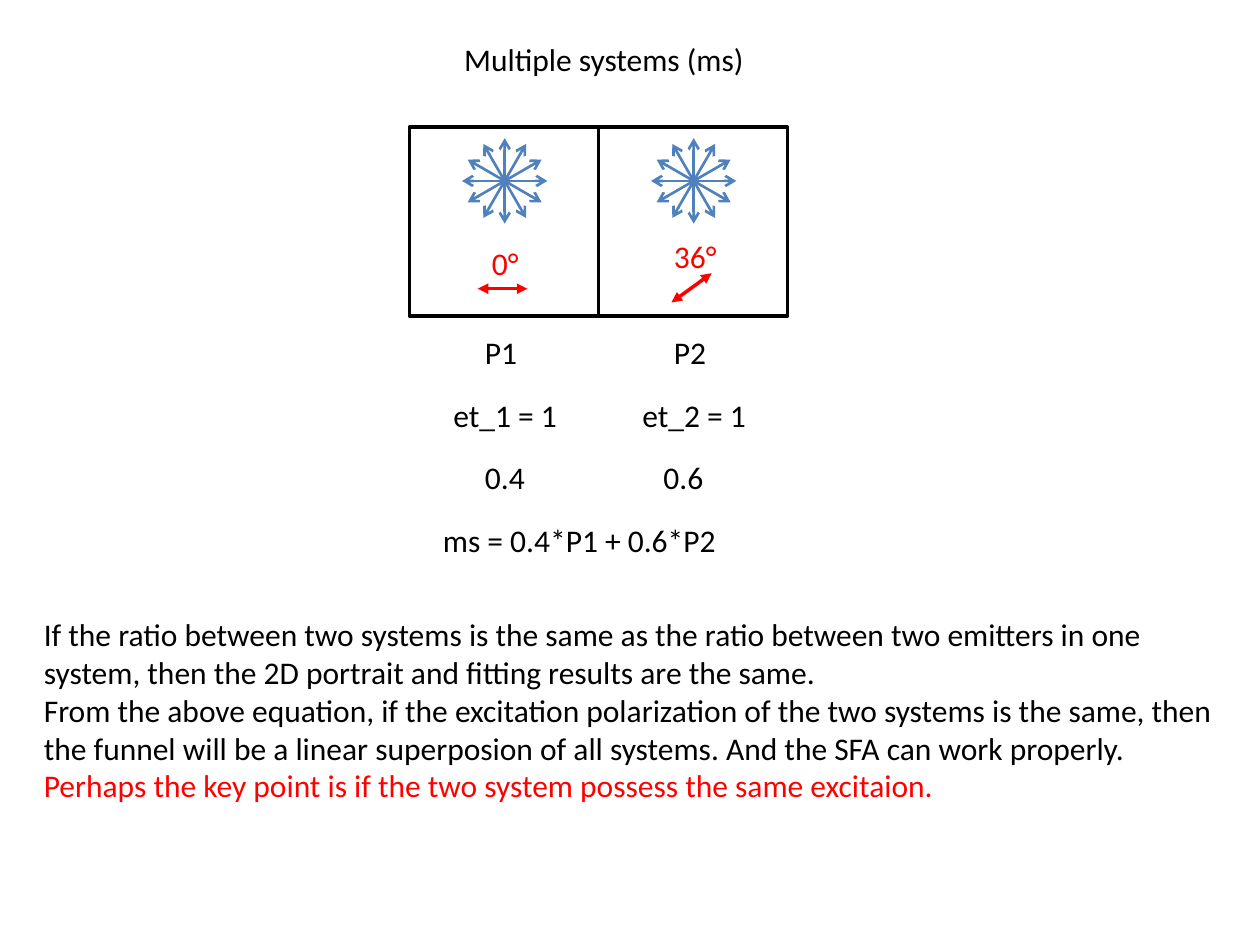
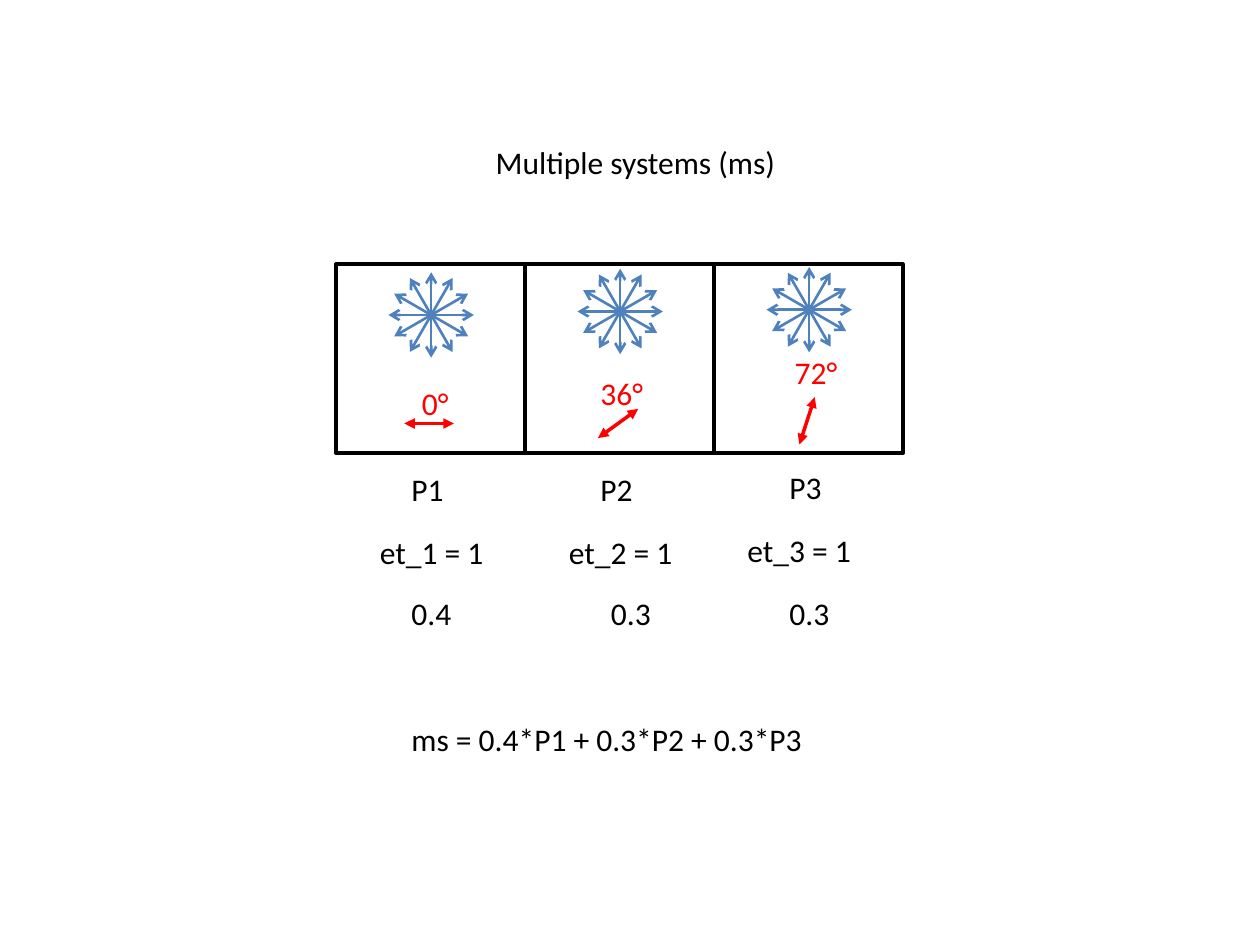
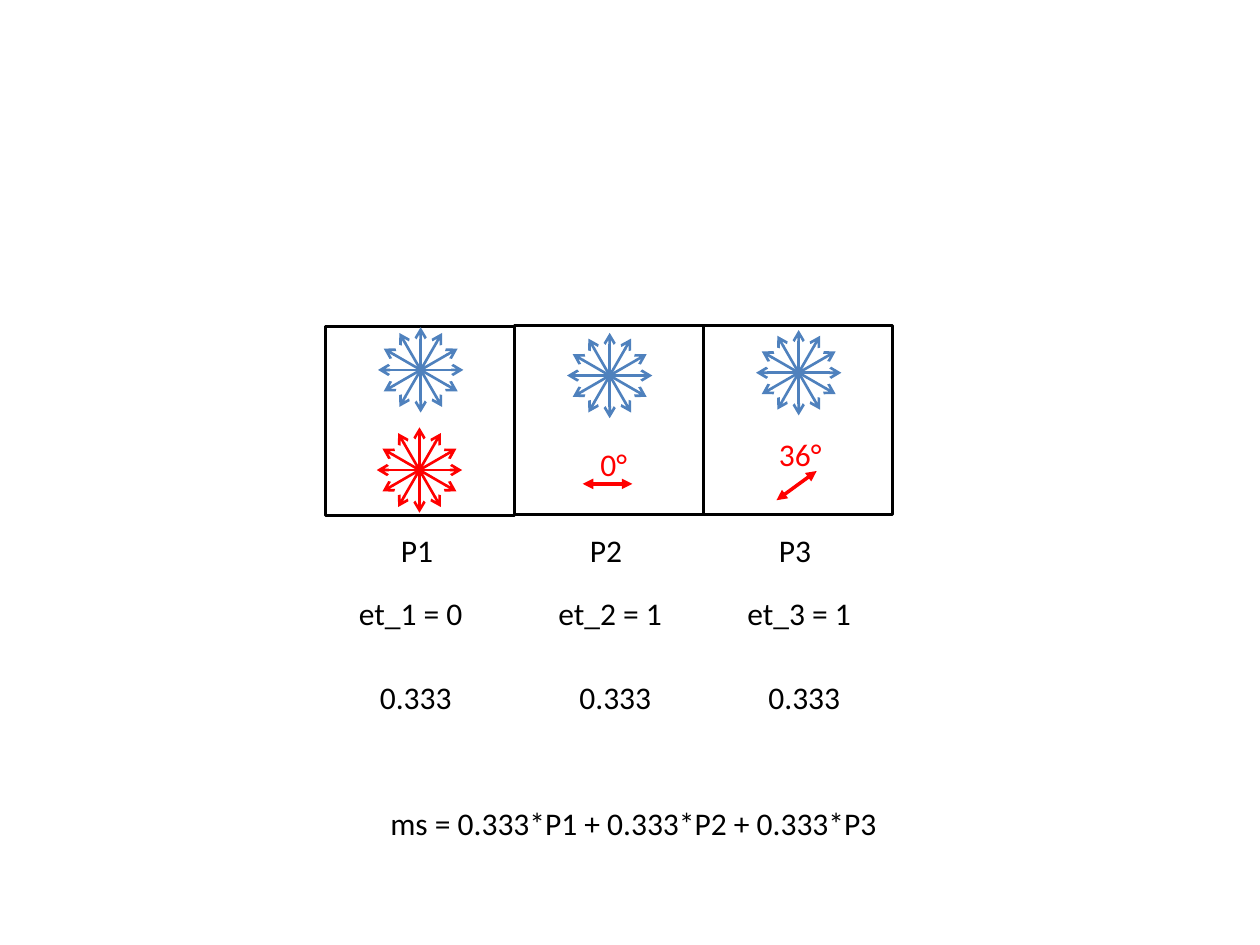
from dataclasses import dataclass
from math import cos, radians, sin

from lxml import etree
from pptx import Presentation
from pptx.dml.color import RGBColor
from pptx.enum import shapes, text
from pptx.oxml.ns import qn
from pptx.util import Pt

BLACK = RGBColor(0x00, 0x00, 0x00)
WHITE = RGBColor(0xFF, 0xFF, 0xFF)
RED = RGBColor(0xFF, 0x00, 0x00)
BLUE = RGBColor(0x4F, 0x81, 0xBD)
FONT, SIZE = "Calibri", 18
LINE_H = 29       # height of a one-line text box
CELL = 108        # side of a system's square
BURST_R = 24.4    # radius of a star of arrows
EMITTER_R = 14.2  # half length of an emitter arrow
TITLE_LAYOUT, BLANK_LAYOUT = 5, 6


# Content: x values count from the left of the system's square, y from the slide top
@dataclass
class System:
    name: str
    transfer: str
    transfer_x: float
    weight: str
    weight_x: float
    burst_y: float
    emitter_y: float
    angle: int = None      # None: the emitter has no preferred direction
    label_x: float = 0
    label_y: float = 0
    lift: float = 0        # raises name and transfer
    cell_drop: float = 0


TITLE = "Multiple systems (ms)"
SLIDES = [
    dict(title=(TITLE, 258, 19), left=234, top=72.75, rows=(187, 223, 258),
         systems=[
             System("P1", "et_1 = 1", 18, "0.4", 36, 103.4, 165, 0, 40, 136),
             System("P2", "et_2 = 1", 18, "0.6", 30, 103.4, 164.5, 36, 36, 132)],
         equation=("ms = 0.4*P1 + 0.6*P2", 246, 294, 192),
         notes=[
             ("If the ratio between two systems is the same as the ratio between two "
              "emitters in one system, then the 2D portrait and fitting results are "
              "the same.", BLACK),
             ("From the above equation, if the excitation polarization of the two "
              "systems is the same, then the funnel will be a linear superposion of "
              "all systems. And the SFA can work properly.", BLACK),
             ("Perhaps the key point is if the two system possess the same excitaion.",
              RED)]),
    dict(title=(TITLE, 276, 78), left=192, top=151, rows=(265, 301, 336),
         systems=[
             System("P1", "et_1 = 1", 18, "0.4", 36, 180, 242, 0, 42, 216),
             System("P2", "et_2 = 1", 18, "0.3", 42, 178, 242, 36, 36, 210),
             System("P3", "et_3 = 1", 12, "0.3", 36, 177, 240.5, 72, 39, 198, lift=1)],
         equation=("ms = 0.4*P1 + 0.3*P2 + 0.3*P3", 228, 408, 264)),
    dict(left=186, top=186, rows=(300, 336, 384),
         systems=[
             System("P1", "et_1 = 0", 12, "0.333", 24, 211.4, 268.6, cell_drop=0.6),
             System("P2", "et_2 = 1", 18, "0.333", 30, 214.6, 276.5, 0, 42, 251),
             System("P3", "et_3 = 1", 18, "0.333", 30, 213, 277.5, 36, 36, 245)],
         equation=("ms = 0.333*P1 + 0.333*P2 + 0.333*P3", 216, 456, 366)),
]


# Drawing helpers
def write(sp, lines, wrap):
    tf = sp.text_frame
    tf.word_wrap = wrap
    tf.auto_size = text.MSO_AUTO_SIZE.NONE
    tf.vertical_anchor = text.MSO_ANCHOR.TOP
    tf.text = "\n".join(line for line, _ in lines)
    for p, (_, color) in zip(tf.paragraphs, lines):
        p.alignment = text.PP_ALIGN.LEFT
        for r in p.runs:
            r.font.name, r.font.size = FONT, Pt(SIZE)
            r.font.color.rgb = color


def add_text(s, lines, x, y, w, h=LINE_H, wrap=False):
    write(s.shapes.add_textbox(Pt(x), Pt(y), Pt(w), Pt(h)), lines, wrap)


def add_title(s, title, x, y):
    sp = s.shapes.title
    sp.left, sp.top, sp.width, sp.height = Pt(x), Pt(y), Pt(176), Pt(LINE_H)
    write(sp, [(title, BLACK)], wrap=False)


def add_cell(s, x, y):
    sp = s.shapes.add_shape(shapes.MSO_SHAPE.RECTANGLE, Pt(x), Pt(y), Pt(CELL), Pt(CELL))
    sp.shadow.inherit = False
    sp.fill.solid()
    sp.fill.fore_color.rgb = WHITE
    sp.line.color.rgb = BLACK
    sp.line.width = Pt(2)


def add_arrow(parent, cx, cy, radius, angle, color, width, head):
    """Double-headed arrow centred on (cx, cy)."""
    dx, dy = radius * cos(radians(angle)), radius * sin(radians(angle))
    sp = parent.shapes.add_connector(shapes.MSO_CONNECTOR.STRAIGHT, Pt(cx - dx),
                                     Pt(cy + dy), Pt(cx + dx), Pt(cy - dy))
    sp.line.color.rgb = color
    sp.line.width = Pt(width)
    ln = sp.line._get_or_add_ln()
    for end in ("a:headEnd", "a:tailEnd"):
        etree.SubElement(ln, qn(end), type=head)
    etree.SubElement(sp._element.spPr, qn("a:effectLst"))


def add_burst(s, cx, cy, color):
    group = s.shapes.add_group_shape()
    for angle in range(0, 180, 30):
        add_arrow(group, cx, cy, BURST_R, angle, color, 1.5, "arrow")


def add_system(s, x, rows, system):
    add_burst(s, x + 54.4, system.burst_y, BLUE)
    if system.angle is None:
        add_burst(s, x + 53.7, system.emitter_y, RED)
    else:
        add_arrow(s, x + 53.2, system.emitter_y, EMITTER_R, system.angle, RED, 2, "triangle")
        label = f"{system.angle}°"
        add_text(s, [(label, RED)], x + system.label_x, system.label_y,
                 42 if len(label) == 2 else 51)
    name_y, transfer_y, weight_y = rows
    weight_w = 37 if len(system.weight) == 3 else 56
    for value, dx, y, w in [
            (system.name, 36, name_y - system.lift, 33),
            (system.transfer, system.transfer_x, transfer_y - system.lift, 78),
            (system.weight, system.weight_x, weight_y, weight_w)]:
        add_text(s, [(value, BLACK)], x + dx, y, w)


def build_slide(prs, data):
    layout = TITLE_LAYOUT if "title" in data else BLANK_LAYOUT
    s = prs.slides.add_slide(prs.slide_layouts[layout])
    if "title" in data:
        add_title(s, *data["title"])
    # Squares side by side, then what each one holds
    columns = [(data["left"] + i * CELL, system)
               for i, system in enumerate(data["systems"])]
    for x, system in columns:
        add_cell(s, x, data["top"] + system.cell_drop)
    for x, system in columns:
        add_system(s, x, data["rows"], system)
    # Weighted sum and conclusions
    equation, x, y, w = data["equation"]
    add_text(s, [(equation, BLACK)], x, y, w, wrap=True)
    if "notes" in data:
        add_text(s, data["notes"], 18, 348, 684, 117, wrap=True)


def main():
    prs = Presentation()
    prs.slide_width, prs.slide_height = Pt(720), Pt(540)
    for data in SLIDES:
        build_slide(prs, data)
    prs.save("out.pptx")


if __name__ == "__main__":
    main()
